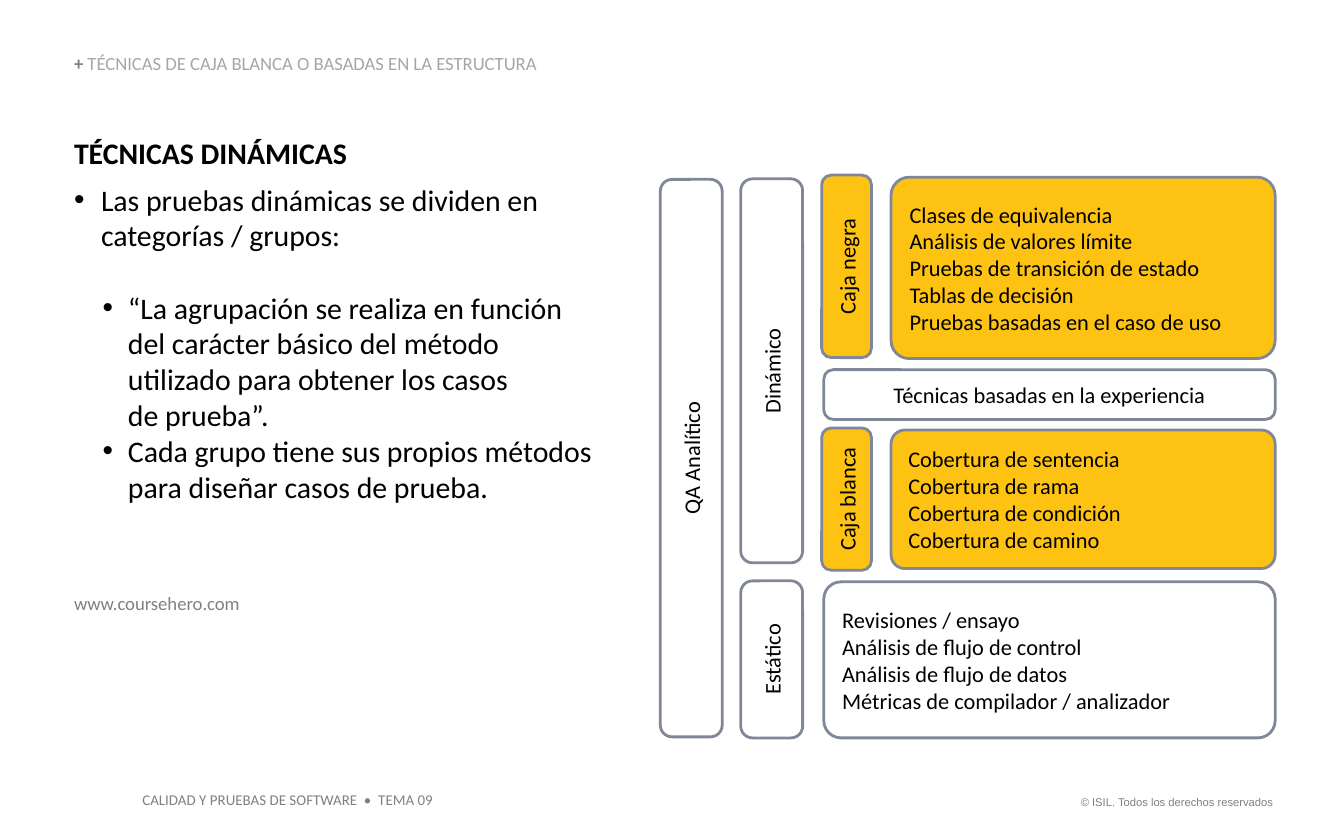
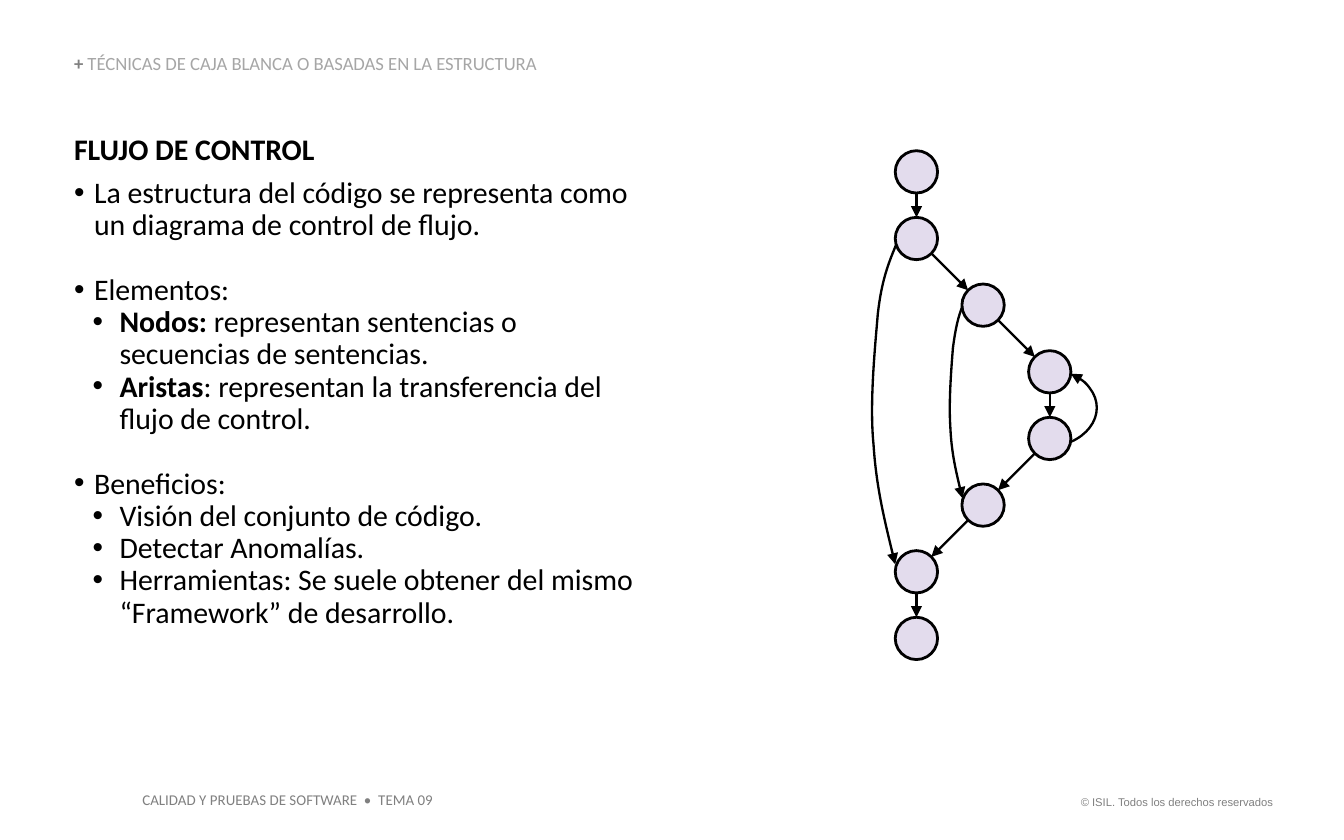
from itertools import pairwise
from math import hypot
from lxml.etree import SubElement
from pptx import Presentation
from pptx.dml.color import RGBColor
from pptx.enum.shapes import MSO_CONNECTOR, MSO_SHAPE
from pptx.enum.text import MSO_ANCHOR, PP_ALIGN
from pptx.oxml.ns import qn
from pptx.util import Cm, Pt

BLACK = RGBColor(0x00, 0x00, 0x00)
WHITE = RGBColor(0xFF, 0xFF, 0xFF)
GRAY = RGBColor(0x80, 0x80, 0x80)
LIGHT_GRAY = RGBColor(0xA6, 0xA6, 0xA6)
YELLOW = RGBColor(0xFD, 0xC2, 0x12)
SLATE = RGBColor(0x80, 0x87, 0x99)
LILAC = RGBColor(0xE3, 0xDC, 0xED)


def add_text(slide, box, text, size, color=GRAY, font="Calibri", inset=0):
    """Add a text box with one paragraph per line of text."""
    frame = slide.shapes.add_textbox(*map(Cm, box)).text_frame
    frame.word_wrap = True
    frame.margin_left = frame.margin_right = Cm(inset)
    frame.margin_top = frame.margin_bottom = Cm(inset / 2)
    frame.text = text
    for paragraph in frame.paragraphs:
        for run in paragraph.runs:
            run.font.name, run.font.size = font, Pt(size)
            run.font.color.rgb = color
        for line_break in paragraph._p.findall(qn("a:br")):
            SubElement(line_break, qn("a:rPr"), sz=str(size * 100))
    return frame


def draw_line(shape, color, width, arrow_end=None):
    """Style an outline, without shadow; arrow_end is headEnd or tailEnd."""
    shape.line.color.rgb = color
    shape.line.width = Pt(width)
    properties = shape._element.spPr
    if properties.find(qn("a:effectLst")) is None:
        SubElement(properties, qn("a:effectLst"))
    if arrow_end:
        SubElement(properties.find(qn("a:ln")), qn(f"a:{arrow_end}"), type="triangle")


# Body text: (level, text, length of bold lead, space before in points)
contents = [
    {
        "title": "TÉCNICAS DINÁMICAS",
        "box": (1.4, 2.54, 10.06, 7.06),
        "line_spacing": 1.0,
        "indents": [(0.51, 0.51), (1.02, 0.48)],
        "bullets": [
            (0, "Las pruebas dinámicas se dividen en categorías / grupos:", 0, 0),
            (1, "“La agrupación se realiza en función del carácter básico del método "
                "utilizado para obtener los casos\vde prueba”.", 0, 19.5),
            (1, "Cada grupo tiene sus propios métodos para diseñar casos de prueba.", 0, 0),
        ],
    },
    {
        "title": "FLUJO DE CONTROL",
        "box": (1.4, 2.54, 10.8, 9.45),
        "line_spacing": 0.9,
        "indents": [(0.38, 0.38), (0.86, 0.51)],
        "bullets": [
            (0, "La estructura del código se representa como un diagrama de control de flujo.", 0, 0),
            (0, "Elementos:", 0, 17.5),
            (1, "Nodos: representan sentencias o secuencias de sentencias.", 6, 0),
            (1, "Aristas: representan la transferencia del flujo de control.", 7, 0),
            (0, "Beneficios:", 0, 17.5),
            (1, "Visión del conjunto de código.", 0, 0),
            (1, "Detectar Anomalías.", 0, 0),
            (1, "Herramientas: Se suele obtener del mismo “Framework” de desarrollo.", 0, 0),
        ],
    },
]

prs = Presentation()
prs.slide_width, prs.slide_height = Cm(25.4), Cm(15.88)

# Shared header and footers, and the body of each slide
for content in contents:
    slide = prs.slides.add_slide(prs.slide_layouts[6])
    add_text(slide, (20.02, 14.91, 4.29, 0.51), "© ISIL. Todos los derechos reservados",
             6, font="Arial", inset=0.25).paragraphs[0].alignment = PP_ALIGN.RIGHT
    add_text(slide, (2.44, 14.83, 6.02, 0.61), "CALIDAD Y PRUEBAS DE SOFTWARE  •  TEMA 09",
             8, inset=0.25)

    header = add_text(slide, (1.4, 1.04, 9.17, 0.38), "+ ", 10)
    header.vertical_anchor = MSO_ANCHOR.BOTTOM
    header.paragraphs[0].line_spacing = 0.9
    header.paragraphs[0].runs[0].font.bold = True
    topic = header.paragraphs[0].add_run()
    topic.text = "TÉCNICAS DE CAJA BLANCA O BASADAS EN LA ESTRUCTURA"
    topic.font.name, topic.font.size = "Calibri", Pt(10)
    topic.font.color.rgb = LIGHT_GRAY

    body_text = "\n".join([content["title"]] + [text for _, text, _, _ in content["bullets"]])
    body = add_text(slide, content["box"], body_text, 16, BLACK)
    title, *items = body.paragraphs
    title.runs[0].font.bold = True
    title.space_after = Pt(6)
    title.line_spacing = content["line_spacing"]
    for item, (level, text, lead, space) in zip(items, content["bullets"]):
        item.level = level
        item.line_spacing = content["line_spacing"]
        item.space_before = Pt(space)
        margin, hanging = content["indents"][level]
        bullet = item._p.get_or_add_pPr()
        bullet.set("marL", str(Cm(margin)))
        bullet.set("indent", str(-Cm(hanging)))
        SubElement(bullet, qn("a:buFont"), typeface="Arial")
        SubElement(bullet, qn("a:buChar"), char="•")
        if lead:
            item.runs[0].text = text[:lead]
            item.runs[0].font.bold = True
            rest = item.add_run()
            rest.text = text[lead:]
            rest.font.name, rest.font.size = "Calibri", Pt(16)
            rest.font.color.rgb = BLACK

techniques_slide, flow_slide = prs.slides

# Source of the technique classification
add_text(techniques_slide, (1.4, 11.18, 4.22, 0.43), "www.coursehero.com", 10)

# Technique map: box as seen, corner, fill, text, runs upwards, centred
techniques = [
    ((16.84, 8.13, 7.26, 2.62), 0.1, YELLOW, "Cobertura de sentencia\nCobertura de rama\n"
     "Cobertura de condición\nCobertura de camino", False, False),
    ((15.53, 3.31, 0.94, 3.45), 0.19, YELLOW, "Caja negra", True, True),
    ((16.84, 3.35, 7.26, 3.43), 0.1, YELLOW, "Clases de equivalencia\n"
     "Análisis de valores límite\nPruebas de transición de estado\nTablas de decisión\n"
     "Pruebas basadas en el caso de uso", False, False),
    ((15.53, 8.09, 0.94, 2.69), 0.19, YELLOW, "Caja blanca", True, True),
    ((15.57, 6.99, 8.53, 0.94), 0.19, WHITE, "Técnicas basadas en la experiencia", False, True),
    ((15.57, 11, 8.53, 2.95), 0.11, WHITE, "Revisiones / ensayo\nAnálisis de flujo de control\n"
     "Análisis de flujo de datos\nMétricas de compilador / analizador", False, False),
    ((14, 3.38, 1.17, 7.26), 0.19, WHITE, "Dinámico", True, True),
    ((14, 10.98, 1.17, 2.97), 0.19, WHITE, "Estático", True, True),
    ((12.48, 3.39, 1.17, 10.54), 0.19, WHITE, "QA Analítico", True, True),
]
for (left, top, width, height), corner, fill, text, upwards, centred in techniques:
    if upwards:
        left, top = left + (width - height) / 2, top + (height - width) / 2
        width, height = height, width
    technique = techniques_slide.shapes.add_shape(
        MSO_SHAPE.ROUNDED_RECTANGLE, Cm(left), Cm(top), Cm(width), Cm(height))
    technique.rotation = 270 if upwards else 0
    technique.adjustments[0] = corner
    technique.fill.solid()
    technique.fill.fore_color.rgb = fill
    draw_line(technique, SLATE, 1.5)
    technique.text_frame.text = text
    technique.text_frame.vertical_anchor = MSO_ANCHOR.MIDDLE
    for paragraph in technique.text_frame.paragraphs:
        paragraph.alignment = PP_ALIGN.CENTER if centred else PP_ALIGN.LEFT
        font = paragraph.runs[0].font
        font.name, font.size = "Calibri", Pt(12)
        font.color.rgb = BLACK

# Control flow nodes: one per row, shifted by column
STEP, RADIUS = 1.26, 0.4
nodes = [(17.32 + STEP * column, 3.25 + STEP * row)
         for row, column in enumerate([0, 0, 1, 2, 2, 1, 0, 0])]
for x, y in nodes:
    node = flow_slide.shapes.add_shape(
        MSO_SHAPE.OVAL, Cm(x - RADIUS), Cm(y - RADIUS), Cm(2 * RADIUS), Cm(2 * RADIUS))
    node.fill.solid()
    node.fill.fore_color.rgb = LILAC
    draw_line(node, BLACK, 1.5)

# Straight edges between consecutive nodes, from rim to rim
for (x1, y1), (x2, y2) in pairwise(nodes):
    share = RADIUS / hypot(x2 - x1, y2 - y1)
    dx, dy = (x2 - x1) * share, (y2 - y1) * share
    edge = flow_slide.shapes.add_connector(
        MSO_CONNECTOR.STRAIGHT, Cm(x1 + dx), Cm(y1 + dy), Cm(x2 - dx), Cm(y2 - dy))
    draw_line(edge, BLACK, 1.25, "tailEnd")

# Curved edges that skip nodes: start, then three points per Bézier segment
bypasses = [
    [(16.94, 4.62), (16.79, 4.98), (16.66, 5.31), (16.59, 5.94), (16.54, 6.55),
     (16.43, 7.62), (16.51, 8.41), (16.56, 9.19), (16.74, 9.93), (16.92, 10.67)],
    [(18.19, 5.79), (18.11, 5.99), (18.06, 6.2), (18.01, 6.58), (17.98, 6.96),
     (17.93, 7.59), (17.96, 8.05), (17.98, 8.53), (18.08, 8.97), (18.19, 9.42)],
]
for points in bypasses:
    start, *others = [(Cm(x), Cm(y)) for x, y in points]
    builder = flow_slide.shapes.build_freeform(*start)
    builder.add_line_segments(others, close=False)
    bypass = builder.convert_to_shape()
    bypass.fill.background()
    outline = next(bypass._element.iter(qn("a:path")))
    segments = outline.findall(qn("a:lnTo"))
    for first in range(0, len(segments), 3):
        curve = SubElement(outline, qn("a:cubicBezTo"))
        for segment in segments[first:first + 3]:
            curve.append(segment[0])
            outline.remove(segment)
    draw_line(bypass, BLACK, 1.25, "tailEnd")

# Loop edge back to the previous node
loop = flow_slide.shapes.add_shape(MSO_SHAPE.ARC, Cm(18.72), Cm(6.96), Cm(2.01), Cm(1.5))
loop.adjustments[0], loop.adjustments[1] = 185.14, 30.35
loop.fill.background()
draw_line(loop, BLACK, 1.25, "headEnd")

prs.save("out.pptx")
